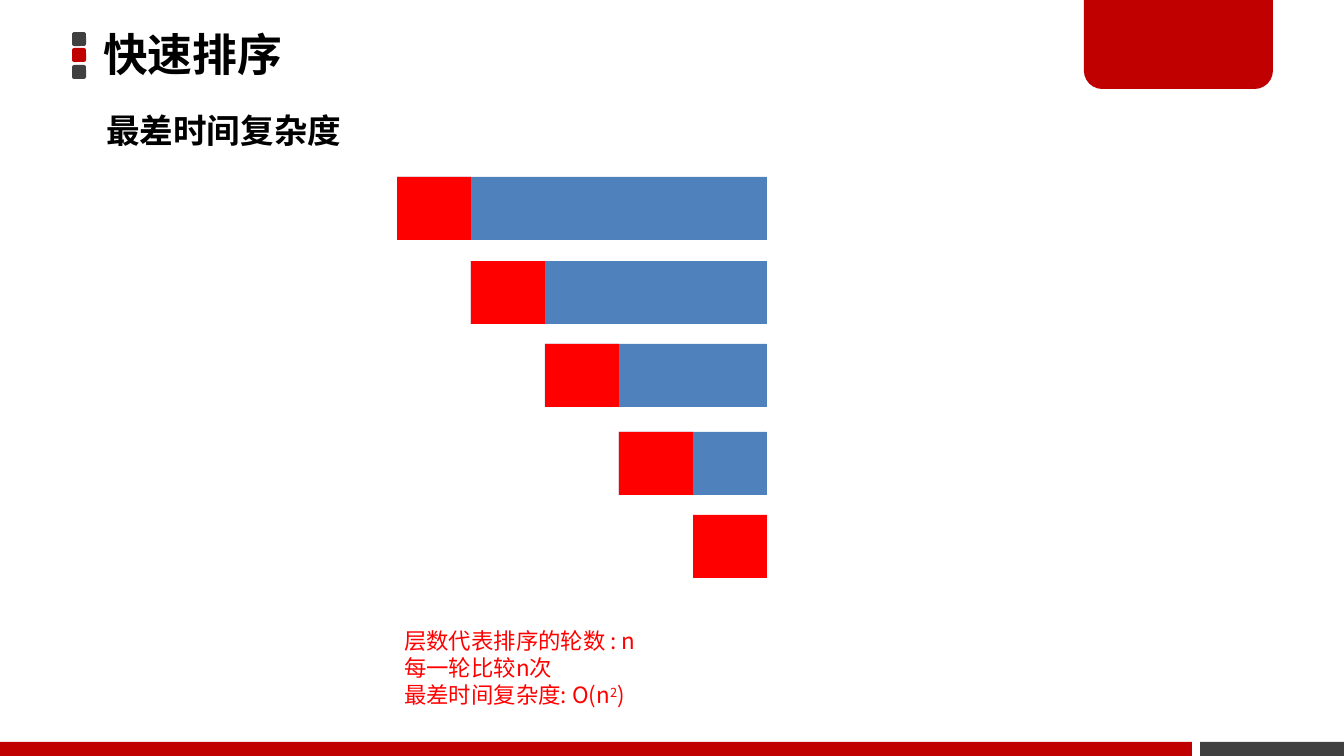
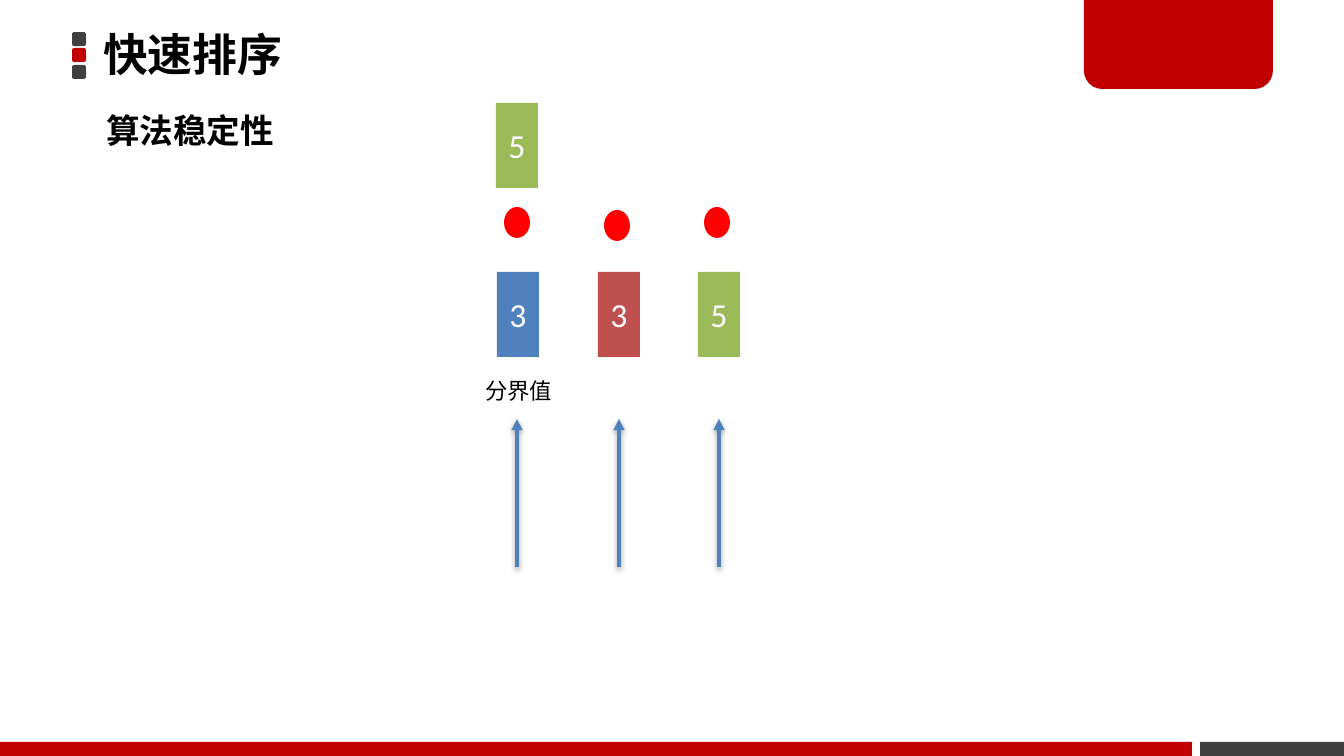
from lxml.etree import SubElement
from pptx import Presentation
from pptx.dml.color import RGBColor
from pptx.enum.shapes import MSO_CONNECTOR, MSO_SHAPE
from pptx.enum.text import MSO_ANCHOR, MSO_AUTO_SIZE, PP_ALIGN
from pptx.oxml.ns import qn
from pptx.util import Emu, Pt

COLORS = {
    "black": "000000",
    "white": "FFFFFF",
    "dark": "404040",
    "brand": "C00000",
    "red": "FF0000",
    "blue": "4F81BD",
    "brick": "C0504D",
    "green": "9BBB59",
}
CHINESE_FONT = "Noto Sans CJK SC"
NUMBER_FONT = "Calibri"
PX = 914400 / 134.4  # EMU in one px; a slide is 1344 x 756 px


def format_text(shape, size, color, font=CHINESE_FONT, bold=False):
    """Apply one font to every run, for Latin and East Asian characters alike."""
    for paragraph in shape.text_frame.paragraphs:
        for run in paragraph.runs:
            run.font.size = Pt(size)
            run.font.bold = bold
            run.font.name = font
            run.font.color.rgb = RGBColor.from_string(COLORS[color])
            SubElement(run._r.get_or_add_rPr(), qn("a:ea"), typeface=font)


def add_block(slide, preset, left, top, width, height, color):
    """Add a flat, borderless preset shape measured in px."""
    shape = slide.shapes.add_shape(
        preset, *(Emu(round(value * PX)) for value in (left, top, width, height)))
    shape.shadow.inherit = False
    shape.fill.solid()
    shape.fill.fore_color.rgb = RGBColor.from_string(COLORS[color])
    shape.line.fill.background()
    return shape


presentation = Presentation()
presentation.slide_width = Emu(round(1344 * PX))
presentation.slide_height = Emu(round(756 * PX))
layout = presentation.slide_layouts[5]  # Title Only

# Titles and subtitles
slides = []
for subtitle, subtitle_width in (("最差时间复杂度", 265), ("算法稳定性", 196)):
    slide = presentation.slides.add_slide(layout)
    slides.append(slide)

    title = slide.shapes.title
    title.left, title.top, title.width, title.height = (
        Emu(round(value * PX)) for value in (93, -3, 792, 120))
    title.text_frame.text = "快速排序"
    title.text_frame.vertical_anchor = MSO_ANCHOR.MIDDLE
    title.text_frame.margin_left = title.text_frame.margin_right = Emu(round(10 * PX))
    title.text_frame.margin_top = title.text_frame.margin_bottom = Emu(round(5 * PX))
    title.text_frame.paragraphs[0].alignment = PP_ALIGN.LEFT
    title.text_frame.paragraphs[0].line_spacing = 0.9
    format_text(title, 24, "black", bold=True)

    subtitle_box = slide.shapes.add_textbox(
        *(Emu(round(value * PX)) for value in (93, 103, subtitle_width, 54)))
    subtitle_box.text_frame.text = subtitle
    subtitle_box.text_frame.word_wrap = False
    subtitle_box.text_frame.auto_size = MSO_AUTO_SIZE.SHAPE_TO_FIT_TEXT
    format_text(subtitle_box, 18, "black", bold=True)

complexity_slide, stability_slide = slides

# Shared decoration, drawn once and moved into the layout
decoration = []
for index, color in enumerate(("dark", "brand", "dark")):
    decoration.append(add_block(complexity_slide, MSO_SHAPE.ROUNDED_RECTANGLE,
                                72, 32 + 33 * index // 2, 14, 14, color))
corner_tab = add_block(complexity_slide, MSO_SHAPE.ROUND_2_SAME_RECTANGLE,
                       1084, -3, 189, 92, "brand")
corner_tab.adjustments[0] = 0
corner_tab.adjustments[1] = 0.2
decoration.append(corner_tab)
for left, width, color in ((1200, 144, "dark"), (0, 1192, "brand")):
    decoration.append(add_block(complexity_slide, MSO_SHAPE.RECTANGLE,
                                left, 742, width, 14, color))
for shape in decoration:
    layout.shapes.element.append(shape.element)

# Slide 1: each round settles one pivot and leaves a shorter bar
BARS_LEFT, BARS_RIGHT, BAR_HEIGHT, PIVOT_WIDTH = 397, 767, 63, 74
for round_index, top in enumerate((177, 261, 344, 432, 515)):
    left = BARS_LEFT + PIVOT_WIDTH * round_index
    if BARS_RIGHT - left > PIVOT_WIDTH:
        add_block(complexity_slide, MSO_SHAPE.RECTANGLE,
                  left, top, BARS_RIGHT - left, BAR_HEIGHT, "blue")
    add_block(complexity_slide, MSO_SHAPE.RECTANGLE,
              left, top, PIVOT_WIDTH, BAR_HEIGHT, "red")

summary = complexity_slide.shapes.add_textbox(
    *(Emu(round(value * PX)) for value in (391, 621, 269, 95)))
summary.text_frame.text = "层数代表排序的轮数 : n\n每一轮比较n次\n最差时间复杂度: O(n"
summary.text_frame.word_wrap = False
summary.text_frame.auto_size = MSO_AUTO_SIZE.SHAPE_TO_FIT_TEXT
formula = summary.text_frame.paragraphs[-1]
exponent = formula.add_run()
exponent.text = "2"
exponent._r.get_or_add_rPr().set("baseline", "30000")
formula.add_run().text = ")"
format_text(summary, 12, "red")

# Slide 2: the array, with the held pivot slot above it
for left, top, color, number in (
    (496, 103, "green", "5"),
    (497, 272, "blue", "3"),
    (598, 272, "brick", "3"),
    (698, 272, "green", "5"),
):
    cell = add_block(stability_slide, MSO_SHAPE.RECTANGLE, left, top, 42, 85, color)
    cell.text_frame.text = number
    cell.text_frame.vertical_anchor = MSO_ANCHOR.MIDDLE
    cell.text_frame.margin_left = cell.text_frame.margin_right = 0
    cell.text_frame.paragraphs[0].alignment = PP_ALIGN.CENTER
    format_text(cell, 18, "white", NUMBER_FONT)

for left, top in ((504, 207), (604, 210), (704, 207)):
    add_block(stability_slide, MSO_SHAPE.OVAL, left, top, 26, 31, "red")

pivot_label = stability_slide.shapes.add_textbox(
    *(Emu(round(value * PX)) for value in (472, 371, 95, 40)))
pivot_label.text_frame.text = "分界值"
pivot_label.text_frame.word_wrap = False
pivot_label.text_frame.auto_size = MSO_AUTO_SIZE.SHAPE_TO_FIT_TEXT
format_text(pivot_label, 12, "black")

# The arrows keep the soft shadow of the theme
for center in (517, 619, 719):
    arrow = stability_slide.shapes.add_connector(
        MSO_CONNECTOR.STRAIGHT,
        *(Emu(round(value * PX)) for value in (center, 567, center, 419)))
    arrow.line.color.rgb = RGBColor.from_string(COLORS["blue"])
    arrow.line.width = Pt(2)
    SubElement(arrow.line._get_or_add_ln(), qn("a:tailEnd"), type="triangle")

presentation.save("out.pptx")
